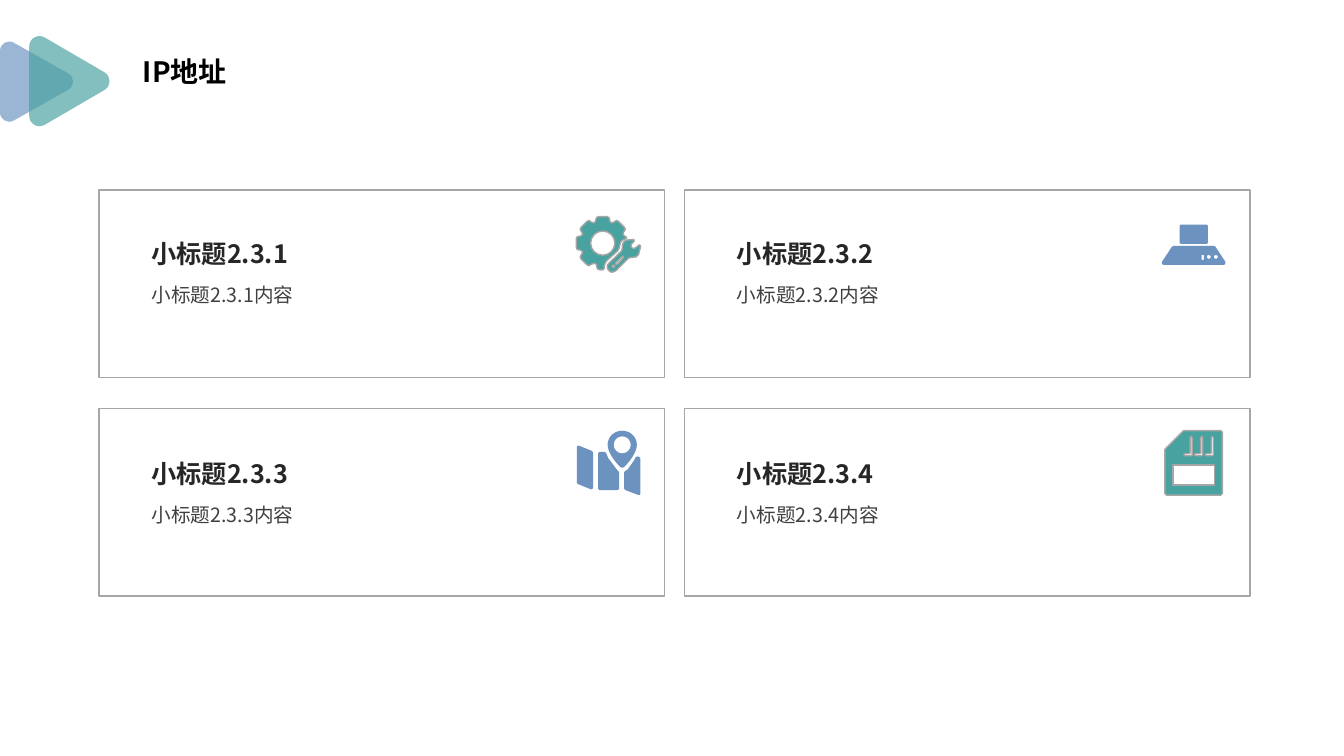
import math

from lxml import etree
from pptx import Presentation
from pptx.dml.color import RGBColor
from pptx.enum.shapes import MSO_SHAPE
from pptx.enum.text import MSO_AUTO_SIZE, PP_ALIGN
from pptx.oxml.ns import qn
from pptx.util import Pt

RECTANGLE = MSO_SHAPE.RECTANGLE
GROW = MSO_AUTO_SIZE.SHAPE_TO_FIT_TEXT
LEFT, JUSTIFY = PP_ALIGN.LEFT, PP_ALIGN.JUSTIFY

FONT = "Noto Sans CJK SC"
COLORS = {
    "title": "000000", "heading": "262626", "body": "404040",
    "border": "A6A6A6", "blue": "6C92C0", "teal": "48A2A0",
}
ICON_UNIT = 0.72  # points per step of the icon grid


def color(name):
    return RGBColor.from_string(COLORS[name])


# A contour is a list of steps: one point is a line, three points are a curve
def polygon(corners):
    return [[corner] for corner in corners]


def rounded(corners, radius):
    """Round each corner with one curve, smaller where the edges are short."""
    points = [complex(*corner) for corner in corners]
    steps = []
    for i, corner in enumerate(points):
        before = points[i - 1] - corner
        after = points[(i + 1) % len(points)] - corner
        u, v = before / abs(before), after / abs(after)
        half = math.acos((u * v.conjugate()).real) / 2
        cut = min(radius / math.tan(half), abs(before) / 2, abs(after) / 2)
        pull = cut * (1 - 4 / 3 * math.tan((math.pi - 2 * half) / 4) * math.tan(half))
        start = corner + u * cut
        if not steps or abs(start - complex(*steps[-1][-1])) > 0.01:
            steps.append([(start.real, start.imag)])
        curve = (corner + u * pull, corner + v * pull, corner + v * cut)
        steps.append([(point.real, point.imag) for point in curve])
    return steps


def circle(x, y, radius):
    left, right, top, bottom = x - radius, x + radius, y - radius, y + radius
    return rounded([(left, top), (right, top), (right, bottom), (left, bottom)], radius)


def gear_and_wrench():
    x, y = 27, 26.5
    gear = [(29, 53), (21, 53), (21, 47)]
    for tooth in range(135, 316, 45):
        for turn, radius in ((-17.5, 21.8), (-15, 27.2), (15, 27.2), (17.5, 21.8)):
            angle = math.radians(tooth + turn)
            gear.append((x + radius * math.cos(angle), y + radius * math.sin(angle)))
    gear += [(48, 20), (53, 21), (45, 24), (43, 33), (30, 45), (28, 50)]
    wrench = [(57, 23), (59, 23.5), (55, 28), (55, 31), (58, 32.5), (64, 27.5),
              (64.5, 30), (62, 40), (53, 41), (40, 54), (35, 56), (31, 51),
              (32, 47.5), (46, 34), (47, 26), (50, 23.5)]
    slot = [(47, 39), (48, 40.5), (41, 48), (39, 47)]
    return [rounded(gear, 5), circle(x, y, 12), rounded(wrench, 3),
            rounded(slot, 1), circle(37.5, 49.5, 1.5)]


def disk_drive():
    base = [(11, 21), (53, 21), (65.5, 40), (-1.5, 40)]
    top = [(18, 0), (46, 0), (46, 19), (18, 19)]
    bar = [(40, 30), (42, 30), (42, 35), (40, 35)]
    return [rounded(base, 2), rounded(top, 1), polygon(bar),
            circle(47, 32, 2), circle(54, 32, 2)]


def map_with_pin():
    panels = [
        [(0, 14), (16, 20.5), (16, 59), (0, 52.5)],
        [(21, 21), (28.5, 21), (31, 27), (40, 39), (42, 41), (42, 59), (21, 59)],
        [(59, 25), (63, 26.5), (63, 64.5), (47, 58.5), (47, 40), (50, 39), (57, 29)],
    ]
    pin = [
        [(30.5, 14)],
        [(30.5, 6), (37, 0), (45, 0)],
        [(53, 0), (59.5, 6), (59.5, 14)],
        [(59.5, 22), (51, 32), (47, 36)],
        [(46, 37), (44, 37), (43, 36)],
        [(39, 32), (30.5, 22), (30.5, 14)],
    ]
    return [rounded(panel, 1.5) for panel in panels] + [pin, circle(45, 14, 8.5)]


def memory_card():
    body = [(18.5, 0), (57, 0), (57, 64), (0, 64), (0, 18.5)]
    label = [(8, 34), (49, 34), (49, 54), (8, 54)]
    contact = [(19, 23), (25, 23), (25, 6), (27, 6), (27, 25), (19, 25)]
    contacts = [rounded([(x + shift, y) for x, y in contact], 0.8)
                for shift in (0, 10.5, 21)]
    return [rounded(body, 1.5), polygon(label)] + contacts


class SlideBuilder:
    def __init__(self, slide):
        self.shapes = slide.shapes

    def text(self, text, left, top, width, height, *, size, ink,
             bold=False, wrap=True, align=LEFT, spacing=1.0):
        box = self.shapes.add_textbox(Pt(left), Pt(top), Pt(width), Pt(height))
        frame = box.text_frame
        frame.word_wrap = wrap
        frame.auto_size = GROW
        para = frame.paragraphs[0]
        para.alignment = align
        para.line_spacing = spacing
        span = para.add_run()
        span.text = text
        span.font.size = Pt(size)
        span.font.bold = bold
        span.font.name = FONT
        span.font.color.rgb = color(ink)
        east_asian = etree.SubElement(span.font._element, qn("a:ea"))
        east_asian.set("typeface", FONT)

    def frame(self, left, top, width, height):
        box = self.shapes.add_shape(RECTANGLE, Pt(left), Pt(top), Pt(width), Pt(height))
        box.shadow.inherit = False
        box.fill.background()
        box.line.color.rgb = color("border")
        box.line.width = Pt(1)

    def outline(self, contours, fill, *, left=0, top=0, unit=1, opacity=None,
                border=False):
        builder = None
        for contour in contours:
            start, *rest = [(Pt(left + x * unit), Pt(top + y * unit))
                            for step in contour for x, y in step]
            if builder is None:
                builder = self.shapes.build_freeform(*start)
            else:
                builder.move_to(*start)
            builder.add_line_segments(rest, close=True)
        shape = builder.convert_to_shape()
        self.bend(shape, contours)
        shape.shadow.inherit = False
        shape.fill.solid()
        shape.fill.fore_color.rgb = color(fill)
        if opacity is not None:
            solid = shape._element.spPr.find(qn("a:solidFill"))
            alpha = etree.SubElement(solid[0], qn("a:alpha"))
            alpha.set("val", str(opacity * 1000))
        if border:
            shape.line.color.rgb = color("border")
            shape.line.width = Pt(1)
        else:
            shape.line.fill.background()

    def bend(self, shape, contours):
        """Join the three segments of each curved step into one Bézier curve."""
        segments = iter(list(shape._element.iter(qn("a:lnTo"))))
        for contour in contours:
            for step in contour[1:]:
                parts = [next(segments) for _ in step]
                if len(parts) == 3:
                    curve = etree.Element(qn("a:cubicBezTo"))
                    parts[0].addprevious(curve)
                    for part in parts:
                        curve.append(part[0])
                        part.getparent().remove(part)

    def card(self, number, left, top, text_top):
        self.frame(left, top, 404, 134)
        self.text(f"小标题{number}内容", left + 30.3, text_top + 32.8, 310, 17,
                  size=14, ink="body", align=JUSTIFY, spacing=1.2)
        self.text(f"小标题{number}", left + 30.3, text_top, 161, 33,
                  size=18, ink="heading", bold=True, align=JUSTIFY, spacing=1.2)


def main():
    deck = Presentation()
    deck.slide_width, deck.slide_height = Pt(960), Pt(540)
    page = SlideBuilder(deck.slides.add_slide(deck.slide_layouts[6]))

    # Title with its two arrows
    page.text("IP地址", 95, 35.3, 122, 32, size=20, ink="title", bold=True, wrap=False)
    page.outline([rounded([(0, 25), (59, 58.3), (0, 91.7)], 6.6)], "blue", opacity=68)
    page.outline([rounded([(20.9, 20.4), (85.5, 58), (20.9, 95.6)], 7.3)],
                 "teal", opacity=68)

    # Two by two cards: icon contours, left, top, fill, border
    icons = [
        (gear_and_wrench(), 411.1, 154.6, "teal", True),
        (disk_drive(), 829.6, 160.5, "blue", False),
        (map_with_pin(), 412.1, 307.7, "blue", False),
        (memory_card(), 832.1, 307.6, "teal", True),
    ]
    columns = (70.8, 489)
    rows = ((135.8, 162.4), (291.7, 319.4))  # card top, text top
    for i, (contours, left, top, fill, border) in enumerate(icons):
        page.card(f"2.3.{i + 1}", columns[i % 2], *rows[i // 2])
        page.outline(contours, fill, left=left, top=top, unit=ICON_UNIT, border=border)

    deck.save("out.pptx")


if __name__ == "__main__":
    main()
